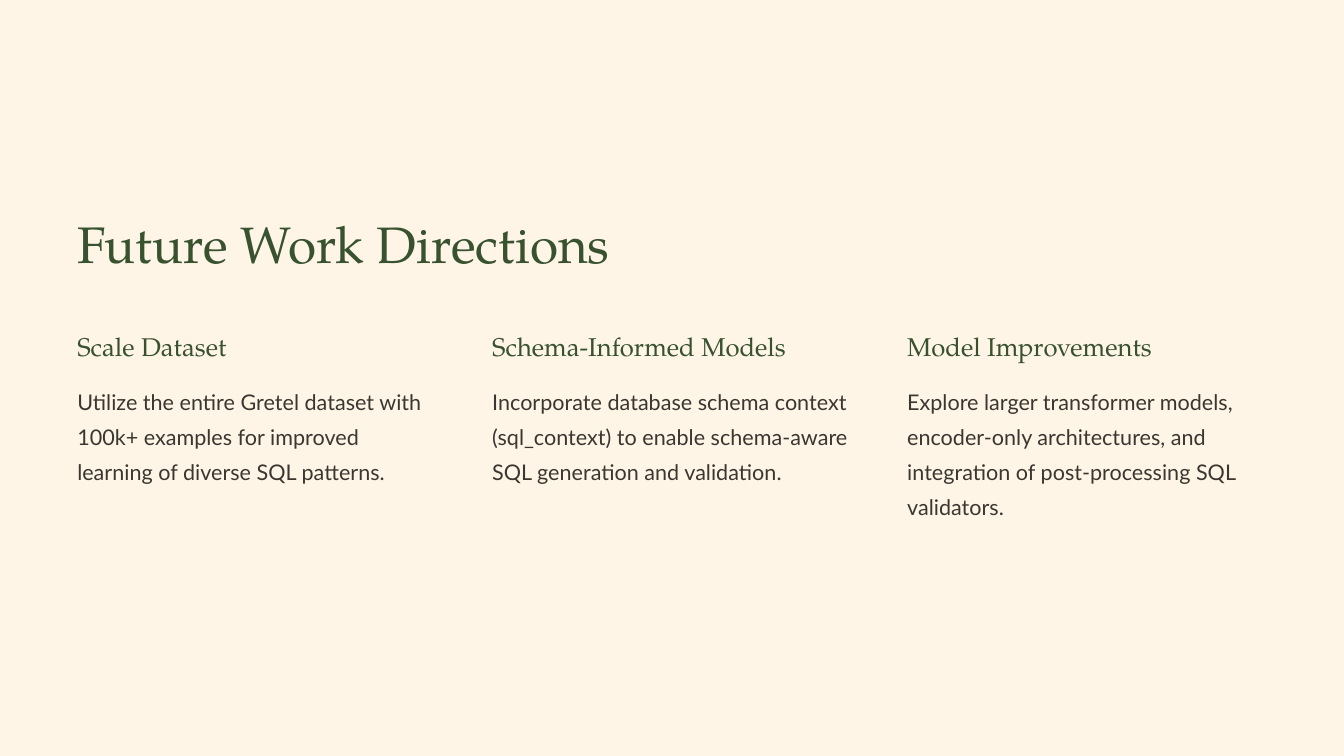
from pptx import Presentation
from pptx.dml.color import RGBColor
from pptx.enum.shapes import MSO_SHAPE as Shape
from pptx.util import Inches, Pt

GREEN = RGBColor(0x38, 0x51, 0x2F)
BROWN = RGBColor(0x3A, 0x36, 0x30)
SAND = RGBColor(0xF2, 0xE4, 0xCF)
CREAM = RGBColor(0xFE, 0xF5, 0xE7)
SERIF = "TeX Gyre Pagella"
SANS = "Lato"

deck = Presentation()
deck.slide_width = Inches(20)
deck.slide_height = Inches(11.25)
slide = deck.slides.add_slide(deck.slide_layouts[6])

# Full-slide panels: sand base, cream on top
for shade in (SAND, CREAM):
    panel = slide.shapes.add_shape(
        Shape.RECTANGLE, 0, 0, deck.slide_width, deck.slide_height)
    panel.shadow.inherit = False
    panel.fill.solid()
    panel.fill.fore_color.rgb = shade
    panel.line.fill.background()


def put_text(text, *, left, top, width, height, size, lead, font=SERIF, color=GREEN):
    box = slide.shapes.add_textbox(
        Inches(left), Inches(top), Inches(width), Inches(height))
    frame = box.text_frame
    frame.word_wrap = True
    frame.margin_left = frame.margin_right = 0
    frame.margin_top = frame.margin_bottom = 0
    para = frame.paragraphs[0]
    para.line_spacing = Pt(lead)
    run = para.add_run()
    run.text = text
    run.font.name = font
    run.font.size = Pt(size)
    run.font.color.rgb = color


# Title
LEFT = 1.15
put_text("Future Work Directions", left=LEFT, top=3.12, width=8.44,
         height=0.98, size=55, lead=68.8)

# Three columns: heading, heading width, body, body height
columns = [
    ("Scale Dataset", 3.85,
     "Utilize the entire Gretel dataset with 100k+ examples for improved "
     "learning of diverse SQL patterns.", 1.65),
    ("Schema-Informed Models", 4.64,
     "Incorporate database schema context (sql_context) to enable "
     "schema-aware SQL generation and validation.", 1.65),
    ("Model Improvements", 3.85,
     "Explore larger transformer models, encoder-only architectures, and "
     "integration of post-processing SQL validators.", 2.17),
]
STEP = (13.5 - LEFT) / 2

for i, (head, wide, body, tall) in enumerate(columns):
    left = LEFT + i * STEP
    put_text(head, left=left, top=4.91, width=wide, height=0.49,
             size=27.5, lead=34.4)
    put_text(body, left=left, top=5.65, width=5.37, height=tall,
             size=23.1, lead=37.5, font=SANS, color=BROWN)

deck.save("out.pptx")
